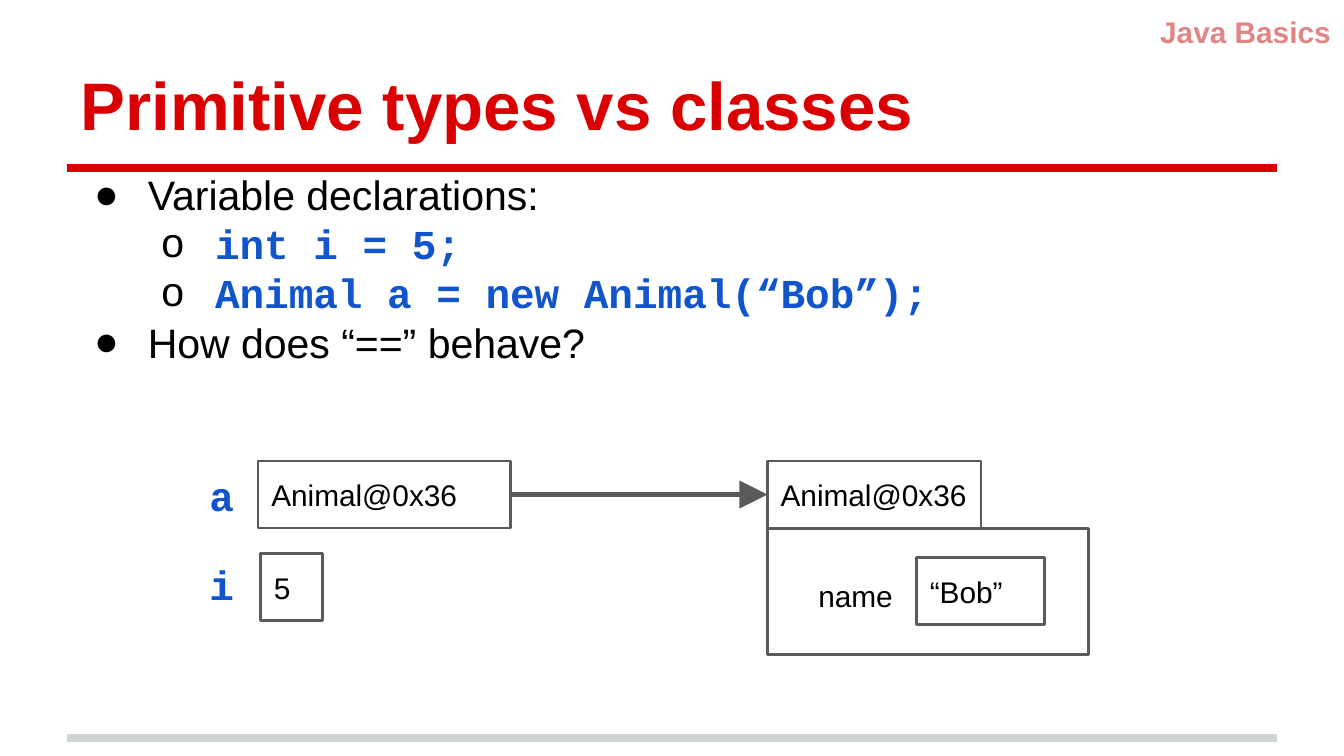
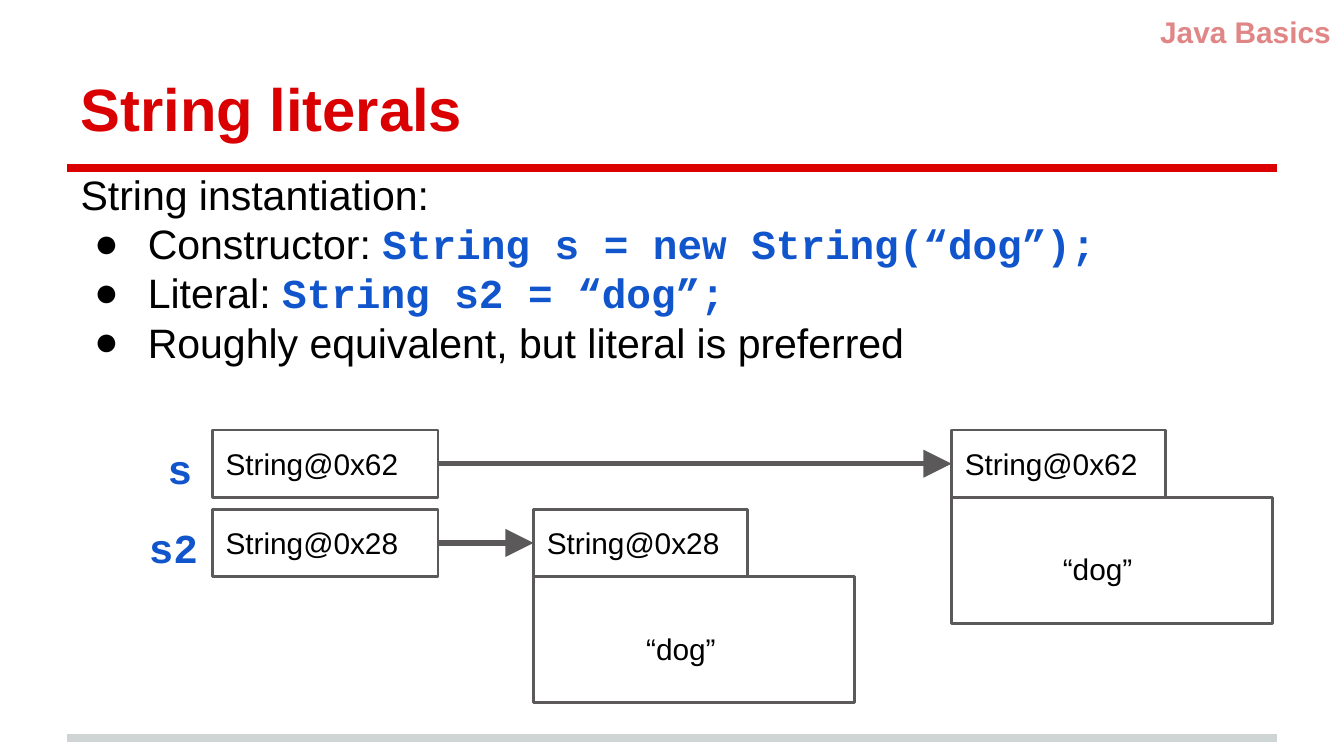
from lxml.etree import SubElement
from pptx import Presentation
from pptx.dml.color import RGBColor
from pptx.enum.shapes import MSO_CONNECTOR, MSO_SHAPE
from pptx.enum.text import MSO_ANCHOR, MSO_AUTO_SIZE, PP_ALIGN
from pptx.oxml.ns import qn
from pptx.util import Inches, Pt

COLORS = {
    "accent": "DA0002",
    "section": "E08686",
    "footer": "CFD4D4",
    "code": "1155CC",
    "outline": "5B595A",
    "ink": "000000",
}
CODE = dict(size=22, font="Courier New", color="code", bold=True)
PROSE = dict(size=22)
BULLETS = ["●", "o"]
MARGIN = 0.5
RIGHT_EDGE = 9.5
CELL_HEIGHT = 0.5
TAB_WIDTH = 1.59
OBJECT_SIZE = (2.39, 0.94)


def write(frame, text, new_paragraph=False, size=16, font="Arial", color="ink",
          bold=False, align=PP_ALIGN.LEFT, anchor=MSO_ANCHOR.TOP):
    frame.word_wrap = True
    frame.auto_size = MSO_AUTO_SIZE.NONE
    frame.vertical_anchor = anchor
    frame.margin_left = frame.margin_right = Inches(0.1)
    frame.margin_top = frame.margin_bottom = Inches(0.1)
    paragraph = frame.add_paragraph() if new_paragraph else frame.paragraphs[-1]
    paragraph.alignment = align
    paragraph.line_spacing = 1.0
    paragraph.space_before = paragraph.space_after = Pt(0)
    run = paragraph.add_run()
    run.text = text
    run.font.size = Pt(size)
    run.font.name = font
    run.font.bold = bold
    run.font.color.rgb = RGBColor.from_string(COLORS[color])
    return paragraph


def draw_line(slide, start, end, color, width, arrow=False):
    line = slide.shapes.add_connector(
        MSO_CONNECTOR.STRAIGHT, *[Inches(v) for v in (*start, *end)])
    line.line.color.rgb = RGBColor.from_string(COLORS[color])
    line.line.width = Pt(width)
    properties = line._element.spPr
    if arrow:
        SubElement(properties.find(qn("a:ln")), qn("a:tailEnd"),
                   type="triangle", w="lg", len="lg")
    SubElement(properties, qn("a:effectLst"))


topics = [
    dict(
        title="Primitive types vs classes",
        title_size=36,
        points=[
            (0, [("Variable declarations:", PROSE)]),
            (1, [("int i = 5;", CODE)]),
            (1, [("Animal a = new Animal(“Bob”);", CODE)]),
            (0, [("How does “==” behave?", PROSE)]),
        ],
        variables=[("a", 1.46, 3.4), ("i", 1.46, 4.06)],
        cells=[
            ("Animal@0x36", 1.92, 3.43, 1.88),
            ("5", 1.94, 4.12, 0.46),
            ("“Bob”", 6.82, 4.15, 0.95),
        ],
        references=[(3.8, 3.68, 5.71)],
        objects=[("Animal@0x36", 5.71, 3.43, "name", 0.28, 0.77)],
    ),
    dict(
        title="String literals",
        title_size=32,
        points=[
            (None, [("String instantiation:", PROSE)]),
            (0, [("Constructor: ", PROSE), ("String s = new String(“dog”);", CODE)]),
            (0, [("Literal: ", PROSE), ("String s2 = “dog”;", CODE)]),
            (0, [("Roughly equivalent, but literal is preferred", PROSE)]),
        ],
        variables=[("s", 1.15, 3.2), ("s2", 1.01, 3.79)],
        cells=[
            ("String@0x62", 1.58, 3.2, 1.68),
            ("String@0x28", 1.58, 3.79, 1.68),
        ],
        references=[(3.26, 3.45, 7.08), (3.26, 4.04, 3.97)],
        objects=[
            ("String@0x28", 3.97, 3.79, "“dog”", 0.74, 0.8),
            ("String@0x62", 7.08, 3.2, "“dog”", 0.73, 0.8),
        ],
    ),
]

deck = Presentation()
deck.slide_width = Inches(10)
deck.slide_height = deck.slide_width * 9 // 16

for topic in topics:
    slide = deck.slides.add_slide(deck.slide_layouts[1])
    heading, points = slide.placeholders

    for holder, top, height in [(heading, 0.23, 0.94), (points, 1.16, 4.07)]:
        holder.left, holder.top = Inches(MARGIN), Inches(top)
        holder.width, holder.height = Inches(RIGHT_EDGE - MARGIN), Inches(height)
    write(heading.text_frame, topic["title"], size=topic["title_size"],
          color="accent", bold=True, anchor=MSO_ANCHOR.BOTTOM)

    for row, (level, pieces) in enumerate(topic["points"]):
        for order, (text, style) in enumerate(pieces):
            point = write(points.text_frame, text,
                          new_paragraph=row > 0 and order == 0, **style)
        point.level = level or 0
        properties = point._p.get_or_add_pPr()
        if level is None:
            properties.set("marL", "0")
            properties.set("indent", "0")
            SubElement(properties, qn("a:buNone"))
        else:
            properties.set("marL", str(Inches(0.5 * (level + 1))))
            properties.set("indent", str(Inches(-0.4)))
            bullet_color = SubElement(properties, qn("a:buClr"))
            SubElement(bullet_color, qn("a:srgbClr"), val=COLORS["ink"])
            SubElement(properties, qn("a:buFont"), typeface="Arial")
            SubElement(properties, qn("a:buChar"), char=BULLETS[level])

    for y, color in [(5.49, "footer"), (1.25, "accent")]:
        draw_line(slide, (MARGIN, y), (RIGHT_EDGE, y), color, 4)
    for start, y, end in topic["references"]:
        draw_line(slide, (start, y), (end, y), "outline", 3, arrow=True)

    labels = [("Java Basics", 7.08, 0, 2.92, 0.4,
               dict(color="section", bold=True, align=PP_ALIGN.RIGHT))]
    labels += [(name, x, y, 0.7, 0.5, CODE) for name, x, y in topic["variables"]]
    boxes = [(text, x, y, width, CELL_HEIGHT) for text, x, y, width in topic["cells"]]
    for address, x, y, content, dx, dy in topic["objects"]:
        boxes.append((address, x, y, TAB_WIDTH, CELL_HEIGHT))
        boxes.append(("", x, y + CELL_HEIGHT, *OBJECT_SIZE))
        labels.append((content, x + dx, y + dy, 0.83, 0.4, {}))

    for text, *place, style in labels:
        label = slide.shapes.add_textbox(*[Inches(v) for v in place])
        write(label.text_frame, text, **style)
    for text, *place in boxes:
        box = slide.shapes.add_shape(MSO_SHAPE.RECTANGLE, *[Inches(v) for v in place])
        box.shadow.inherit = False
        box.fill.background()
        box.line.color.rgb = RGBColor.from_string(COLORS["outline"])
        box.line.width = Pt(1.5)
        if text:
            write(box.text_frame, text, anchor=MSO_ANCHOR.MIDDLE)

deck.save("out.pptx")
